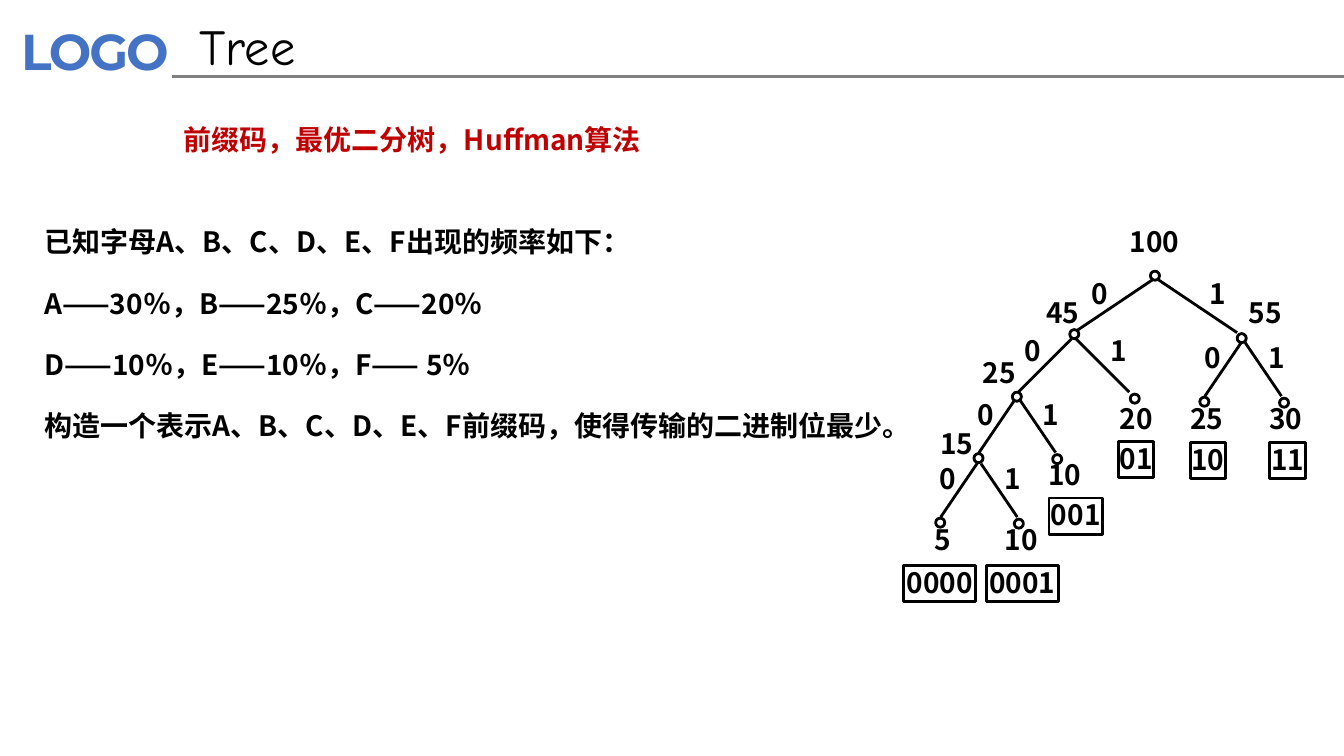
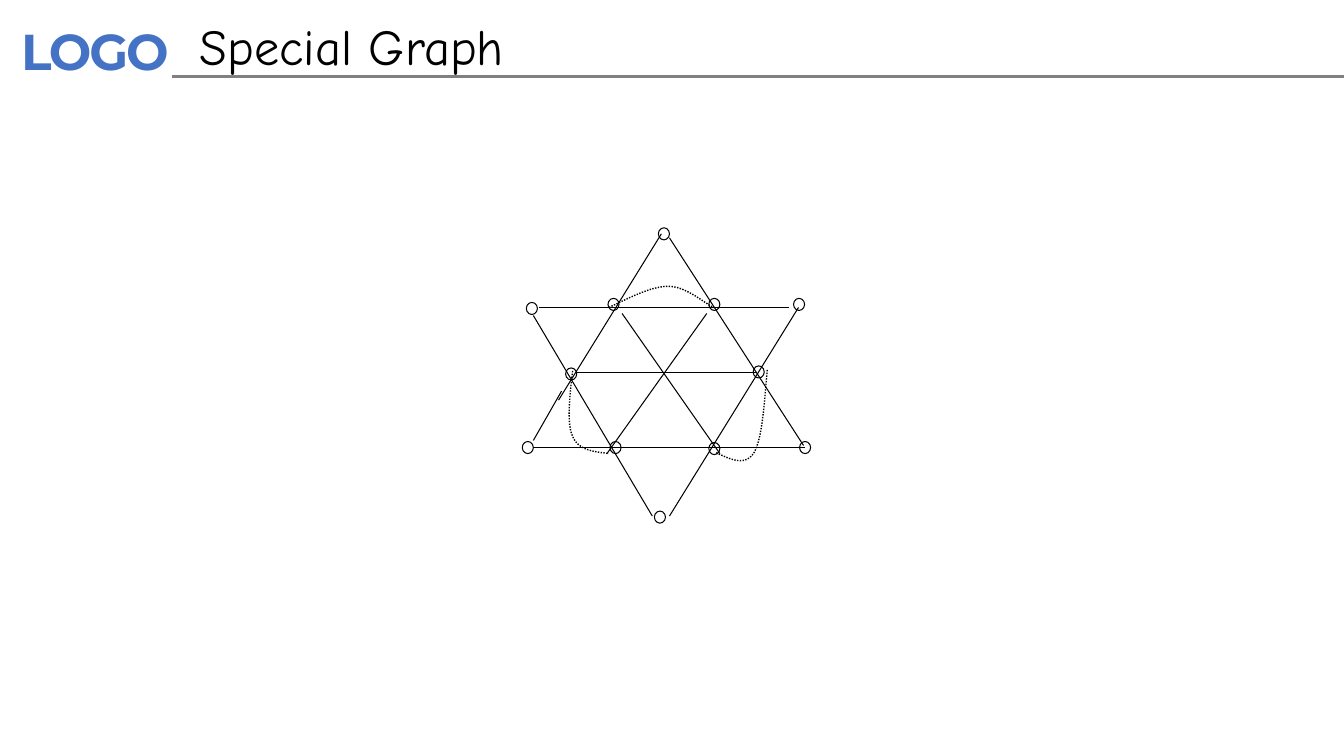
from dataclasses import dataclass
from typing import NamedTuple

from lxml.etree import SubElement
from pptx import Presentation
from pptx.dml.color import RGBColor
from pptx.enum.dml import MSO_LINE
from pptx.enum.shapes import MSO_CONNECTOR, MSO_SHAPE
from pptx.enum.text import MSO_ANCHOR, PP_ALIGN
from pptx.oxml.ns import qn
from pptx.util import Inches, Pt


@dataclass(frozen=True)
class Theme:
    black: str = "000000"
    white: str = "FFFFFF"
    blue: str = "4472C4"
    gray: str = "808080"
    red: str = "C00000"
    logo_font: str = "Montserrat"
    title_font: str = "Comic Neue"
    body_font: str = "Noto Sans CJK SC"
    title_size: float = 36
    body_size: float = 20
    thick: float = 2
    dotted: float = 1
    thin: float = 0.75


THEME = Theme()
TREE_DOT = (0.09, 0.09)
STAR_DOT = (0.11, 0.12)
EDGE_DROP = 0.53
EDGE_GAP = 0.02


class Box(NamedTuple):
    left: float
    top: float
    width: float
    height: float


class Style(NamedTuple):
    font: str
    size: float
    color: str
    bold: bool = False


BODY = Style(THEME.body_font, THEME.body_size, THEME.black, True)


class Fork(NamedTuple):
    """Two edges leaving a parent, with the places of their digits 0 and 1."""
    x: float
    top: float
    reach: float
    zero_x: float
    one_x: float
    digit_top: float


class Node(NamedTuple):
    """A circle by its corner, its weight by top centre, and a leaf's code."""
    left: float
    top: float
    weight: str
    weight_x: float
    weight_top: float
    code: str = ""
    code_x: float = 0
    code_top: float = 0


FORKS = [
    Fork(11.46, 2.77, 0.79, 10.91, 12.08, 2.74),
    Fork(10.65, 3.36, 0.53, 10.24, 11.1, 3.31),
    Fork(10.09, 3.96, 0.36, 9.78, 10.42, 3.94),
    Fork(9.71, 4.6, 0.36, 9.4, 10.04, 4.58),
    Fork(12.33, 3.4, 0.36, 12.03, 12.66, 3.38),
]
NODES = [
    Node(11.41, 2.69, "100", 11.45, 2.23),
    Node(10.61, 3.27, "45", 10.54, 2.93),
    Node(12.27, 3.31, "55", 12.55, 2.93),
    Node(10.04, 3.89, "25", 9.91, 3.53),
    Node(9.66, 4.5, "15", 9.49, 4.23),
    Node(9.28, 5.14, "5", 9.35, 5.18, "0000", 9.32, 5.61),
    Node(10.06, 5.15, "10", 10.13, 5.18, "0001", 10.14, 5.61),
    Node(10.44, 4.51, "10", 10.56, 4.54, "001", 10.67, 4.94),
    Node(11.21, 3.91, "20", 11.27, 3.98, "01", 11.27, 4.38),
    Node(11.9, 3.94, "25", 11.97, 3.98, "10", 11.98, 4.39),
    Node(12.69, 3.95, "30", 12.75, 3.98, "11", 12.77, 4.39),
]

STAR_CORNERS = [
    (6.53, 2.26), (5.22, 3), (6.03, 2.96), (7.03, 2.96), (7.87, 2.96),
    (5.61, 3.65), (7.47, 3.63), (5.18, 4.38), (6.05, 4.38), (7.03, 4.39),
    (7.93, 4.38), (6.49, 5.07),
]
STAR_EDGES = [
    ((5.71, 3.7), (7.5, 3.7)), ((7.92, 3.05), (6.64, 5.12)),
    ((6.56, 2.32), (5.54, 3.97)), ((5.35, 3.05), (7.83, 3.05)),
    ((5.29, 4.44), (7.98, 4.44)), ((5.57, 3.88), (5.29, 4.37)),
    ((5.29, 3.13), (6.47, 5.12)), ((6.64, 2.36), (7.97, 4.42)),
    ((6.17, 3.11), (7.14, 4.5)), ((7.01, 3.11), (6.02, 4.5)),
]
# Start point, then two controls and an end point for each cubic segment
STAR_ARCS = [
    [(6.04, 3.05), (6.25, 2.95), (6.46, 2.84), (6.63, 2.84),
     (6.81, 2.84), (7, 3.02), (7.08, 3.05)],
    [(7.61, 3.67), (7.58, 4.01), (7.56, 4.35), (7.48, 4.49),
     (7.39, 4.63), (7.25, 4.56), (7.1, 4.49)],
    [(5.68, 3.68), (5.65, 3.94), (5.62, 4.2), (5.68, 4.33),
     (5.74, 4.47), (5.89, 4.48), (6.04, 4.5)],
]

HEADING = "前缀码，最优二分树，Huffman算法"
PROBLEM = [
    "已知字母A、B、C、D、E、F出现的频率如下：",
    "A——30％，B——25％，C——20％",
    "D——10％，E——10％，F—— 5％",
    "构造一个表示A、B、C、D、E、F前缀码，使得传输的二进制位最少。",
]


def set_all(target, values: dict) -> None:
    for name, value in values.items():
        setattr(target, name, value)


def set_line(line, color: str, width: float) -> None:
    line.color.rgb = RGBColor.from_string(color)
    line.width = Pt(width)


def add_span(para, text: str, style: Style):
    span = para.add_run()
    span.text = text
    set_all(span.font, {"name": style.font, "size": Pt(style.size), "bold": style.bold})
    span.font.color.rgb = RGBColor.from_string(style.color)
    SubElement(span._r.get_or_add_rPr(), qn("a:ea"), typeface=style.font)
    return span


def set_frame(frame, inset: tuple[float, float], wrap: bool) -> None:
    across, down = (Inches(value) for value in inset)
    set_all(frame, {
        "margin_left": across, "margin_right": across,
        "margin_top": down, "margin_bottom": down,
        "word_wrap": wrap, "vertical_anchor": MSO_ANCHOR.TOP,
    })


def add_text(page, box: Box, lines: list[str], style: Style,
             inset: tuple[float, float] = (0.1, 0.05), hanging: bool = False):
    text_box = page.shapes.add_textbox(*map(Inches, box))
    frame = text_box.text_frame
    set_frame(frame, inset, True)
    for number, text in enumerate(lines):
        para = frame.add_paragraph() if number else frame.paragraphs[0]
        if hanging:
            set_all(para, {"line_spacing": 1.4, "space_before": Pt(10)})
            indent = Inches(0.25)
            props = para._p.get_or_add_pPr()
            props.set("marL", str(indent))
            props.set("indent", str(-indent))
        add_span(para, text, style)
    return text_box


def add_label(page, text: str, center: float, top: float, framed: bool = False) -> None:
    """Centred tree text, as wide as its digits, with a frame for codes."""
    width = 0.18 * len(text) - 0.01
    box = Box(center - width / 2, top, width, 0.36 if framed else 0.33)
    if framed:
        label = page.shapes.add_shape(MSO_SHAPE.RECTANGLE, *map(Inches, box))
        label.shadow.inherit = False
        label.fill.background()
        set_line(label.line, THEME.black, THEME.thick)
    else:
        label = page.shapes.add_textbox(*map(Inches, box))
    set_frame(label.text_frame, (0, 0), False)
    para = label.text_frame.paragraphs[0]
    para.alignment = PP_ALIGN.CENTER
    add_span(para, text, BODY)


def add_edge(page, start: tuple[float, float], end: tuple[float, float],
             width: float, color: str = THEME.black) -> None:
    edge = page.shapes.add_connector(MSO_CONNECTOR.STRAIGHT, *map(Inches, (*start, *end)))
    set_line(edge.line, color, width)
    SubElement(edge._element.spPr, qn("a:effectLst"))


def add_dot(page, corner: tuple[float, float], size: tuple[float, float],
            width: float, fill: str = "") -> None:
    dot = page.shapes.add_shape(MSO_SHAPE.OVAL, *map(Inches, (*corner, *size)))
    dot.shadow.inherit = False
    if fill:
        dot.fill.solid()
        dot.fill.fore_color.rgb = RGBColor.from_string(fill)
    else:
        dot.fill.background()
    set_line(dot.line, THEME.black, width)


def curve_points(points: list[tuple[float, float]], steps: int = 12) -> list[tuple[int, int]]:
    """Sample a chain of cubic Bezier segments."""
    sampled = [points[0]]
    for first in range(0, len(points) - 1, 3):
        segment = points[first:first + 4]
        for step in range(1, steps + 1):
            t = step / steps
            weights = ((1 - t) ** 3, 3 * t * (1 - t) ** 2, 3 * t * t * (1 - t), t ** 3)
            sampled.append(tuple(
                sum(weight * point[axis] for weight, point in zip(weights, segment))
                for axis in (0, 1)))
    return [(Inches(x), Inches(y)) for x, y in sampled]


def add_arc(page, points: list[tuple[float, float]]) -> None:
    start, *rest = curve_points(points)
    builder = page.shapes.build_freeform(*start)
    builder.add_line_segments(rest, close=False)
    arc = builder.convert_to_shape()
    arc.shadow.inherit = False
    arc.fill.background()
    set_line(arc.line, THEME.black, THEME.dotted)
    arc.line.dash_style = MSO_LINE.ROUND_DOT


def add_page(deck, title: str):
    """Add a blank page with the shared header and its title."""
    page = deck.slides.add_slide(deck.slide_layouts[6])
    logo = add_text(page, Box(0.08, 0.13, 1.86, 0.74), ["LOGO"],
                    Style(THEME.logo_font, THEME.title_size, THEME.blue, True), (0.13, 0.07))
    span = logo.text_frame.paragraphs[0].runs[0]
    span._r.get_or_add_rPr().set("spc", "-150")
    add_edge(page, (1.71, 0.76), (13.33, 0.76), THEME.thick, THEME.gray)
    add_text(page, Box(1.88, 0.1, 8.62, 0.71), [title],
             Style(THEME.title_font, THEME.title_size, THEME.black))
    return page


def draw_tree(page) -> None:
    for fork in FORKS:
        for side, digit, digit_x in ((-1, "0", fork.zero_x), (1, "1", fork.one_x)):
            start_x = fork.x + side * EDGE_GAP
            add_edge(page, (start_x, fork.top),
                     (start_x + side * fork.reach, fork.top + EDGE_DROP), THEME.thick)
            add_label(page, digit, digit_x, fork.digit_top)
    for node in NODES:
        add_dot(page, (node.left, node.top), TREE_DOT, THEME.thick, THEME.white)
        add_label(page, node.weight, node.weight_x, node.weight_top)
        if node.code:
            add_label(page, node.code, node.code_x, node.code_top, framed=True)


def draw_star(page) -> None:
    for start, end in STAR_EDGES:
        add_edge(page, start, end, THEME.thin)
    for corner in STAR_CORNERS:
        add_dot(page, corner, STAR_DOT, THEME.thin)
    for points in STAR_ARCS:
        add_arc(page, points)


def main() -> None:
    deck = Presentation()
    set_all(deck, {"slide_width": Inches(13.33), "slide_height": Inches(7.5)})
    tree_page = add_page(deck, "Tree")
    add_text(tree_page, Box(1.72, 1.03, 9, 0.88), [HEADING],
             BODY._replace(color=THEME.red), hanging=True)
    add_text(tree_page, Box(0.34, 2.05, 8.82, 3), PROBLEM, BODY, hanging=True)
    draw_tree(tree_page)
    draw_star(add_page(deck, "Special Graph"))
    deck.save("out.pptx")


if __name__ == "__main__":
    main()
